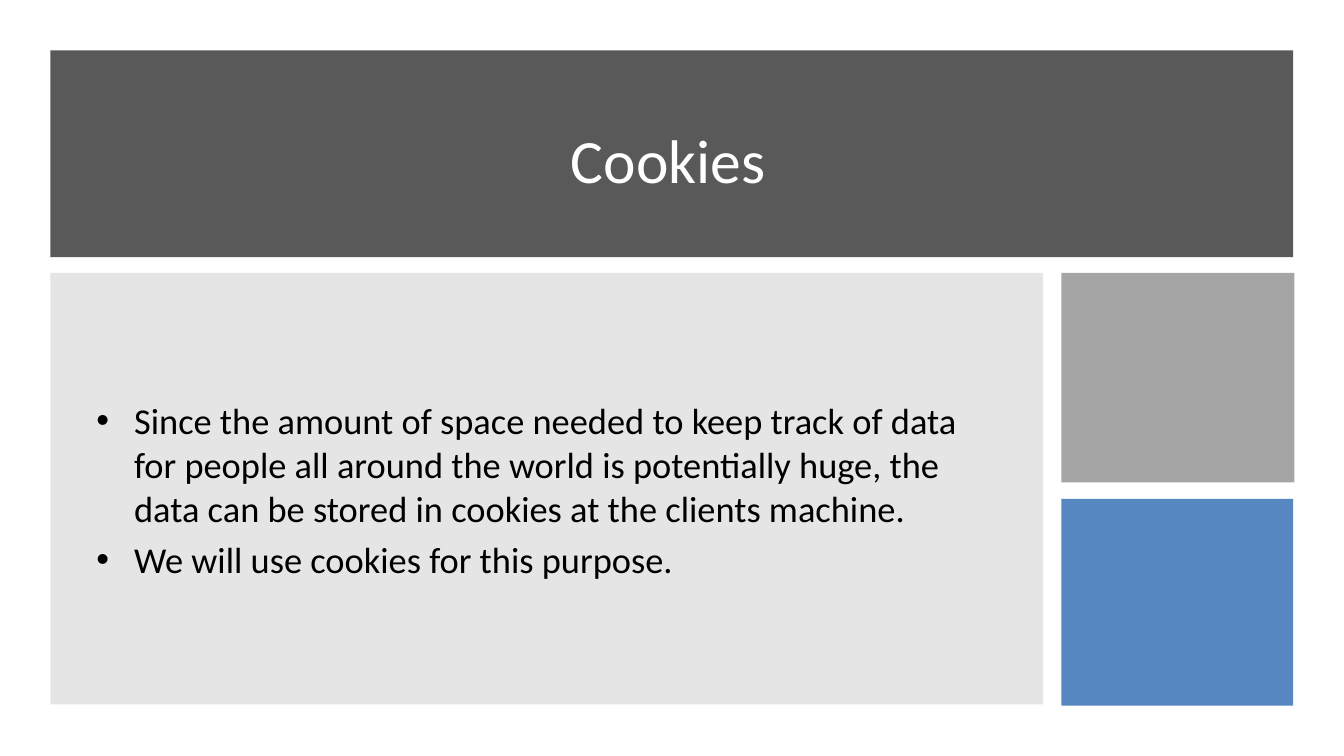
import pptx
import pptx.dml.color
import pptx.enum.shapes
import pptx.enum.text
import pptx.oxml.ns
import pptx.util
import lxml.etree

Cm = pptx.util.Cm
Pt = pptx.util.Pt
RGBColor = pptx.dml.color.RGBColor
qn = pptx.oxml.ns.qn
PP_ALIGN = pptx.enum.text.PP_ALIGN

THEME = {
    "font": "Calibri",
    "title_size": 44,
    "body_size": 26,
    "title_text": "FFFFFF",
    "body_text": "000000",
    "banner": "595959",
    "panel": "808080",
    "grey_tile": "A5A5A5",
    "blue_tile": "4F81BD",
}

presentation = pptx.Presentation()
presentation.slide_width = Cm(33.87)
presentation.slide_height = Cm(19.05)
slide = presentation.slides.add_slide(presentation.slide_layouts[6])


def add_text(paragraphs, *, box, size, color, align=PP_ALIGN.LEFT, bullet=None, gap=0):
    frame = slide.shapes.add_textbox(*[Cm(length) for length in box]).text_frame
    frame.word_wrap = True
    frame.vertical_anchor = pptx.enum.text.MSO_ANCHOR.MIDDLE
    for index, text in enumerate(paragraphs):
        paragraph = frame.paragraphs[0] if index == 0 else frame.add_paragraph()
        paragraph.alignment = align
        if index:
            paragraph.space_before = Pt(gap)
        if bullet:
            properties = paragraph._p.get_or_add_pPr()
            properties.set("marL", str(Cm(0.95)))
            properties.set("indent", str(Cm(-0.95)))
            lxml.etree.SubElement(properties, qn("a:buFont"), typeface="Arial")
            lxml.etree.SubElement(properties, qn("a:buChar"), char=bullet)
        run = paragraph.add_run()
        run.text = text
        run.font.name = THEME["font"]
        run.font.size = Pt(size)
        run.font.color.rgb = RGBColor.from_string(color)


blocks = [
    ("banner", (1.27, 1.27, 31.32, 5.21), 100),
    ("panel", (1.27, 6.88, 25.02, 10.87), 20),
    ("grey_tile", (26.75, 6.88, 5.87, 5.28), 100),
    ("blue_tile", (26.75, 12.57, 5.84, 5.21), 95),
]
for role, box, opacity in blocks:
    block = slide.shapes.add_shape(
        pptx.enum.shapes.MSO_SHAPE.RECTANGLE, *[Cm(length) for length in box]
    )
    block.shadow.inherit = False
    block.line.fill.background()
    block.fill.solid()
    block.fill.fore_color.rgb = RGBColor.from_string(THEME[role])
    if opacity < 100:
        color_element = block._element.spPr.find(qn("a:solidFill"))[0]
        lxml.etree.SubElement(color_element, qn("a:alpha"), val=str(opacity * 1000))

add_text(
    ["Cookies"],
    box=(2.03, 2.03, 29.62, 3.96),
    size=THEME["title_size"],
    color=THEME["title_text"],
    align=PP_ALIGN.CENTER,
)
add_text(
    [
        "Since the amount of space needed to keep track of data for people all around "
        "the world is potentially huge, the data can be stored in cookies at the "
        "clients machine.",
        "We will use cookies for this purpose.",
    ],
    box=(2.18, 7.75, 23.24, 9.17),
    size=THEME["body_size"],
    color=THEME["body_text"],
    bullet="•",
    gap=5.2,
)

presentation.save("out.pptx")
